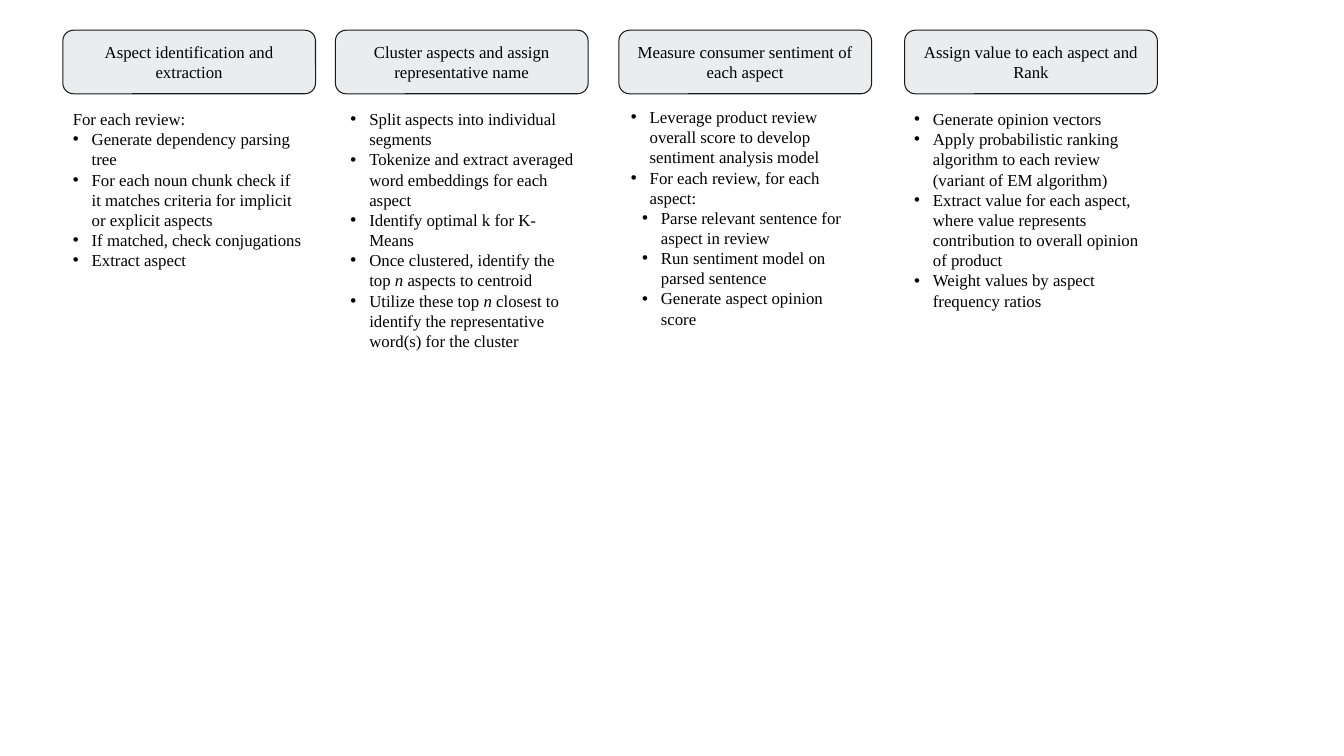
from dataclasses import dataclass

from lxml import etree
from pptx import Presentation, util as u
from pptx.dml.color import RGBColor
from pptx.enum import shapes, text
from pptx.oxml import ns

Pt = u.Pt
COLOURS = {"header": "E9EDEE", "outline": "1A1A1A", "text": "000000"}
FONT = "Times New Roman"
HEADER_TOP, HEADER_WIDTH, HEADER_HEIGHT = 21.6, 180.5, 45.4
BODY_WIDTH = 178
HANGING = 13.5
INDENTS = {0: 13.5, 1: 21.5}


@dataclass(frozen=True)
class Line:
    words: str
    level: int = 0
    bullet: bool = True


@dataclass(frozen=True)
class Stage:
    title: str
    header_left: float
    body_left: float
    body_top: float
    body_height: float
    lines: tuple[Line, ...]


STAGES = (
    Stage("Aspect identification and extraction", 44.9, 44.9, 74.2, 138.2, (
        Line("For each review:", bullet=False),
        Line("Generate dependency parsing tree"),
        Line("For each noun chunk check if it matches criteria for implicit or explicit aspects"),
        Line("If matched, check conjugations"),
        Line("Extract aspect"),
    )),
    Stage("Cluster aspects and assign representative name", 239.6, 243.2, 74.2, 181.4, (
        Line("Split aspects into individual segments"),
        Line("Tokenize and extract averaged word embeddings for each aspect"),
        Line("Identify optimal k for K-Means"),
        Line("Once clustered, identify the top *n* aspects to centroid"),
        Line("Utilize these top *n* closest to identify the representative word(s) for the cluster"),
    )),
    Stage("Measure consumer sentiment of each aspect", 442.1, 443.5, 72.7, 167, (
        Line("Leverage product review overall score to develop sentiment analysis model"),
        Line("For each review, for each aspect:"),
        Line("Parse relevant sentence for aspect in review", 1),
        Line("Run sentiment model on parsed sentence", 1),
        Line("Generate aspect opinion score", 1),
    )),
    Stage("Assign value to each aspect and Rank", 646.2, 645.8, 74.2, 152.6, (
        Line("Generate opinion vectors"),
        Line("Apply probabilistic ranking algorithm to each review (variant of EM algorithm)"),
        Line("Extract value for each aspect, where value represents contribution to overall "
             "opinion of product"),
        Line("Weight values by aspect frequency ratios"),
    )),
)


def colour(name: str) -> RGBColor:
    return RGBColor.from_string(COLOURS[name])


def style_font(para) -> None:
    para.font.name = FONT
    para.font.size = Pt(12)
    para.font.color.rgb = colour("text")


def add_bullet(para, level: int) -> None:
    para.level = level
    properties = para._p.get_or_add_pPr()
    properties.set("marL", str(Pt(INDENTS[level])))
    properties.set("indent", str(-Pt(HANGING)))
    etree.SubElement(properties, ns.qn("a:buFont")).set("typeface", "Arial")
    etree.SubElement(properties, ns.qn("a:buChar")).set("char", "•")


def draw_header(page, stage: Stage) -> None:
    box = page.shapes.add_shape(
        shapes.MSO_SHAPE.ROUNDED_RECTANGLE,
        Pt(stage.header_left), Pt(HEADER_TOP), Pt(HEADER_WIDTH), Pt(HEADER_HEIGHT))
    box.shadow.inherit = False
    box.fill.solid()
    box.fill.fore_color.rgb = colour("header")
    box.line.color.rgb = colour("outline")
    box.line.width = Pt(0.75)
    frame = box.text_frame
    frame.word_wrap = True
    frame.vertical_anchor = text.MSO_ANCHOR.MIDDLE
    frame.margin_left = frame.margin_right = Pt(7.2)
    frame.margin_top = frame.margin_bottom = Pt(7.2)
    para = frame.paragraphs[0]
    para.alignment = text.PP_ALIGN.CENTER
    para.add_run().text = stage.title
    style_font(para)


def draw_body(page, stage: Stage) -> None:
    box = page.shapes.add_textbox(
        Pt(stage.body_left), Pt(stage.body_top), Pt(BODY_WIDTH), Pt(stage.body_height))
    frame = box.text_frame
    frame.word_wrap = True
    frame.auto_size = text.MSO_AUTO_SIZE.SHAPE_TO_FIT_TEXT
    for index, line in enumerate(stage.lines):
        para = frame.add_paragraph() if index else frame.paragraphs[0]
        if line.bullet:
            add_bullet(para, line.level)
        for position, words in enumerate(line.words.split("*")):
            span = para.add_run()
            span.text = words
            if position % 2:
                span.font.italic = True
        style_font(para)


deck = Presentation()
deck.slide_width, deck.slide_height = Pt(960), Pt(540)
page = deck.slides.add_slide(deck.slide_layouts[6])
for stage in STAGES:
    draw_header(page, stage)
for stage in STAGES:
    draw_body(page, stage)
deck.save("out.pptx")
